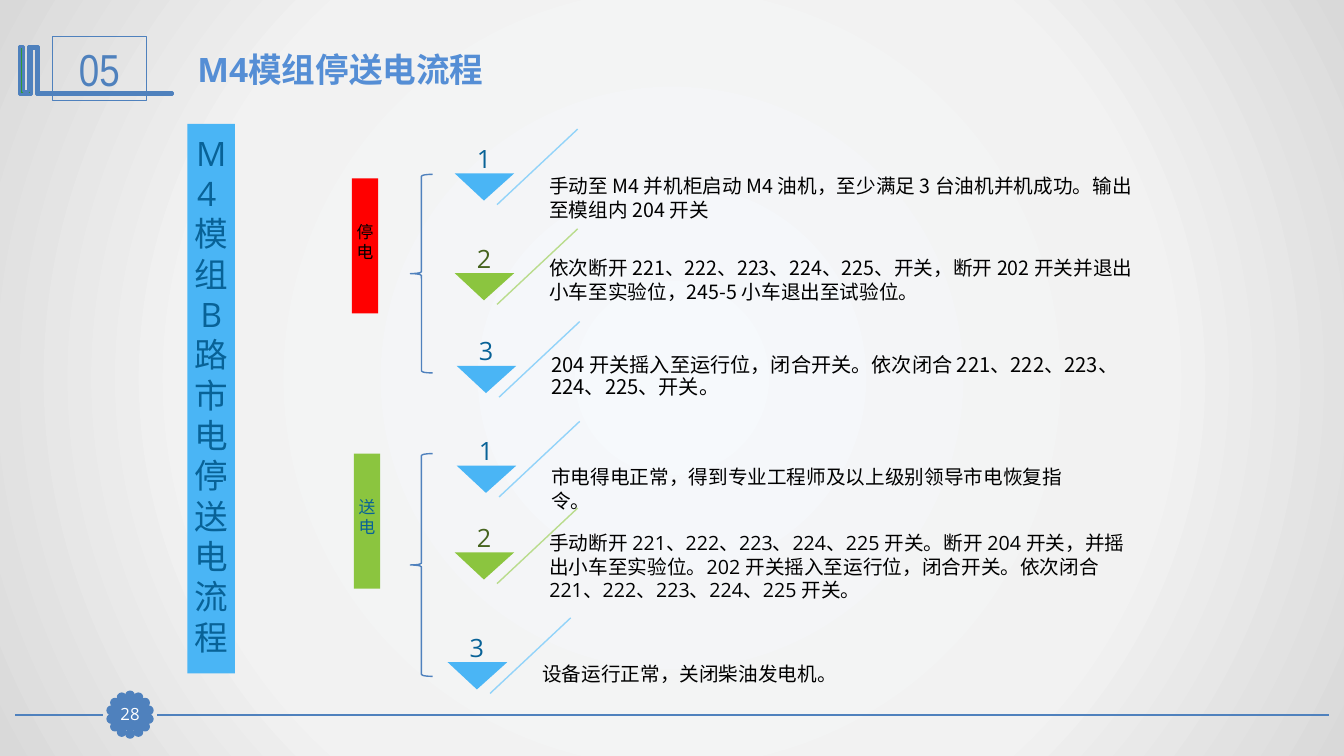
import math

import lxml.etree
import pptx
import pptx.dml.color
import pptx.enum.shapes
import pptx.enum.text
import pptx.oxml
import pptx.oxml.ns
import pptx.util

Inches = pptx.util.Inches
Pt = pptx.util.Pt
RGB = pptx.dml.color.RGBColor
SHAPE = pptx.enum.shapes.MSO_SHAPE
ANCHOR = pptx.enum.text.MSO_ANCHOR
ALIGN = pptx.enum.text.PP_ALIGN
qn = pptx.oxml.ns.qn

STEEL = RGB(0x4F, 0x81, 0xBD)
TITLE_BLUE = RGB(0x55, 0x8E, 0xD5)
SKY = RGB(0x4A, 0xB5, 0xF5)
PALE_SKY = RGB(0x92, 0xD3, 0xF9)
DEEP_BLUE = RGB(0x08, 0x62, 0x97)
GREEN = RGB(0x8B, 0xC5, 0x3F)
PALE_GREEN = RGB(0xB9, 0xDC, 0x8C)
DEEP_GREEN = RGB(0x46, 0x64, 0x1E)
ICON_GREEN = RGB(0x33, 0x99, 0x33)
RED = RGB(0xFF, 0, 0)
BLACK = RGB(0, 0, 0)
WHITE = RGB(0xFF, 0xFF, 0xFF)

SANS, CJK, NARROW = "Open Sans", "Noto Sans CJK SC", "Arial Narrow"
BACKDROP = [(0, "F6F9FC"), (63, "F2F2F2"), (100, "D9D9D9")]
BLUE_STEP = (SKY, PALE_SKY, DEEP_BLUE)
GREEN_STEP = (GREEN, PALE_GREEN, DEEP_GREEN)

# Content
TITLE = "M4模组停送电流程"
BANNER = ["M4 ", "模组 B 路市电停送电流程"]
# Phases: label, label place, fill, font colour, brace place
PHASES = [
    ("停电", (3.49, 1.77, 0.26, 1.34), RED, BLACK, (4.07, 1.73, 0.22, 1.97)),
    ("送电", (3.51, 4.5, 0.26, 1.34), GREEN, DEEP_BLUE, (4.07, 4.5, 0.22, 2.21)),
]
# Steps: number, triangle left and top, text top and height, font, paragraphs
STEPS = [
    (1, 4.51, 1.72, 1.62, 0.68, CJK,
     ["手动至 M4 并机柜启动 M4 油机，至少满足 3 台油机并机成功。输出至模组内 204 开关"]),
    (2, 4.51, 2.71, 2.36, 0.83, CJK,
     ["依次断开 221、222、223、224、225、开关，断开 202 开关并退出小车至实验位，"
      "245-5 小车退出至试验位。"]),
    (3, 4.53, 3.63, 3.46, 0.56, CJK,
     ["204 开关摇入至运行位，闭合开关。依次闭合 221、222、223、224、225、开关。"]),
    (1, 4.53, 4.62, 4.51, 0.68, SANS,
     ["市电得电正常，得到专业工程师及以上级别领导市电恢复指", "令。"]),
    (2, 4.51, 5.48, 5.19, 0.86, SANS,
     ["手动断开 221、222、223、224、225 开关。断开 204 开关，并摇出小车至实验位。"
      "202 开关摇入至运行位，闭合开关。依次闭合 221、222、223、224、225 开关。"]),
    (3, 4.44, 6.57, 6.4, 0.56, SANS, ["设备运行正常，关闭柴油发电机。"]),
]
TIGHT = {"size": 14.4, "spacing": 0.9}
ICON = [(0.37, 0.46), (0.38, 0.46), (0.38, 0.92), (1.71, 0.92), (1.71, 0.94),
        (0.36, 0.94), (0.36, 0.48), (0.31, 0.48), (0.31, 0.94), (0.19, 0.94),
        (0.19, 0.46), (0.23, 0.46), (0.23, 0.91), (0.28, 0.91), (0.28, 0.46)]

deck = pptx.Presentation()
deck.slide_width, deck.slide_height = Inches(13.33), Inches(7.5)
page = deck.slides.add_slide(deck.slide_layouts[6])


def paint(shape, fill=None, line=None, weight=1):
    shape.shadow.inherit = False
    if fill is None:
        shape.fill.background()
    else:
        shape.fill.solid()
        shape.fill.fore_color.rgb = fill
    if line is None:
        shape.line.fill.background()
    else:
        shape.line.color.rgb = line
        shape.line.width = Pt(weight)
    return shape


def add_shape(kind, place, **look):
    return paint(page.shapes.add_shape(kind, *map(Inches, place)), **look)


def add_outline(points, **look):
    builder = page.shapes.build_freeform(*map(Inches, points[0]), scale=1.0)
    builder.add_line_segments([tuple(map(Inches, point)) for point in points[1:]])
    return paint(builder.convert_to_shape(), **look)


def add_line(start, end, color, weight):
    line = page.shapes.add_connector(
        pptx.enum.shapes.MSO_CONNECTOR.STRAIGHT, *map(Inches, start + end))
    line.line.color.rgb = color
    line.line.width = Pt(weight)
    lxml.etree.SubElement(line._element.spPr, qn("a:effectLst"))


def write(box, texts, size, color, font=SANS, bold=False, align=ALIGN.CENTER,
          anchor=ANCHOR.MIDDLE, insets=(0.1, 0.05, 0.1, 0.05), spacing=None):
    frame = box.text_frame
    left, top, right, bottom = map(Inches, insets)
    frame_format = {"word_wrap": True, "vertical_anchor": anchor,
                    "margin_left": left, "margin_top": top,
                    "margin_right": right, "margin_bottom": bottom}
    for name, value in frame_format.items():
        setattr(frame, name, value)
    for index, text in enumerate(texts):
        para = frame.add_paragraph() if index else frame.paragraphs[0]
        para.alignment = align
        if spacing:
            para.line_spacing = spacing
        span = para.add_run()
        span.text = text
        for name, value in {"size": Pt(size), "name": font, "bold": bold}.items():
            setattr(span.font, name, value)
        span.font.color.rgb = color
        east = lxml.etree.SubElement(span._r.get_or_add_rPr(), qn("a:ea"))
        east.set("typeface", CJK)


def add_text(place, texts, size, color, **look):
    write(page.shapes.add_textbox(*map(Inches, place)), texts, size, color, **look)


# Background: circular gradient from the centre
page.background.fill.gradient()
gradient = page.background._cSld.find(".//" + qn("a:gradFill"))
for child in list(gradient):
    gradient.remove(child)
stops = lxml.etree.SubElement(gradient, qn("a:gsLst"))
for percent, tone in BACKDROP:
    stop = lxml.etree.SubElement(stops, qn("a:gs"), pos=str(percent * 1000))
    lxml.etree.SubElement(stop, qn("a:srgbClr"), val=tone)
circle = lxml.etree.SubElement(gradient, qn("a:path"), {"path": "circle"})
lxml.etree.SubElement(circle, qn("a:fillToRect"),
                      {side: "50000" for side in "ltrb"})

# Footer rule and scalloped page badge
for start, end in [(13.18, 1.56), (1.02, 0.15)]:
    add_line((start, 7.09), (end, 7.09), STEEL, 1.25)
PETALS, RADIUS, DOT = 14, 0.19, 0.07
for petal in range(PETALS):
    angle = 2 * math.pi * petal / PETALS
    add_shape(SHAPE.OVAL,
              (1.29 + RADIUS * math.sin(angle) - DOT / 2,
               7.09 - RADIUS * math.cos(angle) - DOT / 2, DOT, DOT),
              fill=STEEL, line=STEEL, weight=2)
badge = add_shape(SHAPE.RECTANGLE, (1.13, 6.93, 0.32, 0.31),
                  fill=STEEL, line=STEEL, weight=0.75)
write(badge, ["28"], 12, WHITE, insets=(0, 0, 0, 0))

# Header
add_outline(ICON, fill=ICON_GREEN, line=STEEL, weight=2)
section = add_shape(SHAPE.RECTANGLE, (0.52, 0.36, 0.93, 0.64), line=STEEL, weight=0.75)
write(section, ["05"], 32, STEEL, font=NARROW)
add_text((1.86, 0.44, 9.69, 0.5), [TITLE], 24, TITLE_BLUE, bold=True,
         align=ALIGN.LEFT, anchor=ANCHOR.TOP)

# Vertical banner, phase labels and braces
LABEL_INSETS = (0, 0, 0, 0.08)
banner = add_shape(SHAPE.RECTANGLE, (1.86, 1.23, 0.47, 5.45), fill=SKY)
write(banner, BANNER, 24, DEEP_BLUE, insets=LABEL_INSETS)
for label, place, fill, color, brace in PHASES:
    write(add_shape(SHAPE.RECTANGLE, place, fill=fill), [label], 12, color,
          insets=LABEL_INSETS)
    add_shape(SHAPE.LEFT_BRACE, brace, line=STEEL)

# Steps: slanted line, triangle, text and number
for index, (number, x, y, text_top, height, font, texts) in enumerate(STEPS):
    fill, pale, deep = GREEN_STEP if number == 2 else BLUE_STEP
    add_line((x + 1.22, y - 0.44), (x + 0.42, y + 0.31), pale, 1)
    add_outline([(x, y), (x + 0.59, y), (x + 0.29, y + 0.27)], fill=fill)
    look = {"size": 14, "font": font, **(TIGHT if index == 2 else {})}
    add_text((x + 0.84, text_top, 6.07, height), texts, color=BLACK,
             align=ALIGN.LEFT, **look)
    add_text((x - 0.02, y - 0.6, 0.62, 0.6), [str(number)], 18, deep,
             anchor=ANCHOR.BOTTOM, insets=(0, 0, 0, 0))

deck.save("out.pptx")
